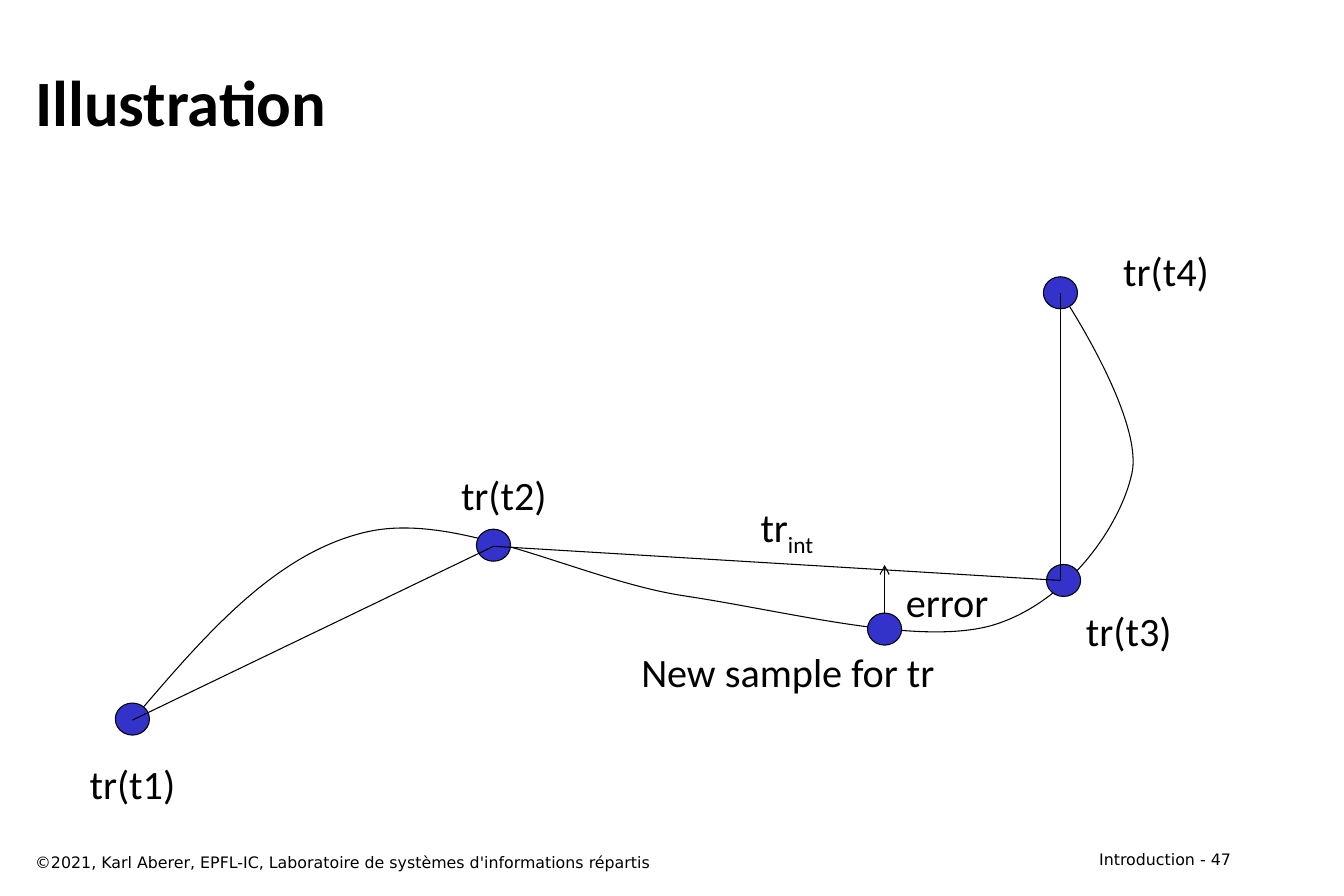
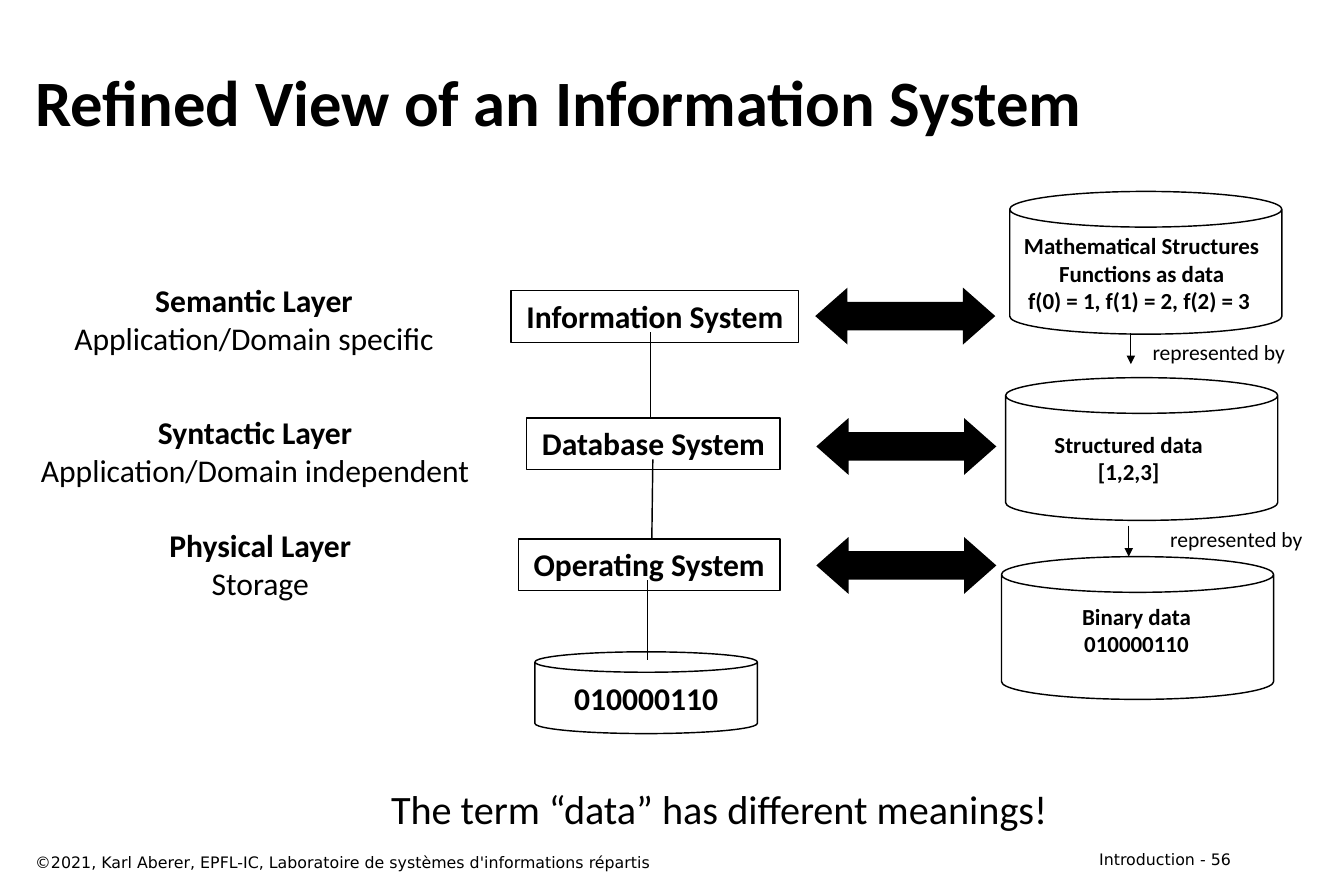
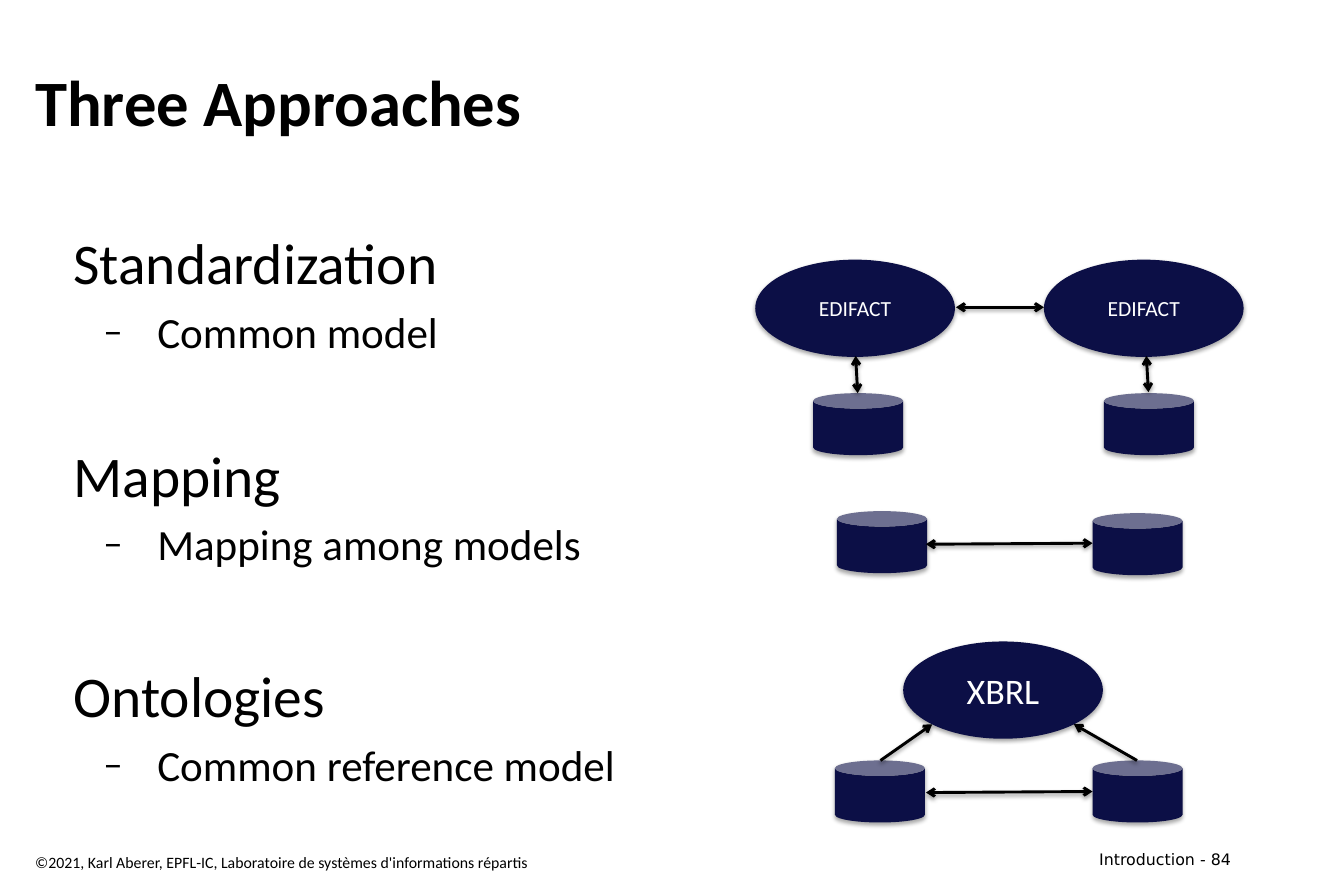
from lxml.etree import SubElement
from pptx import Presentation
from pptx.dml.color import RGBColor
from pptx.enum.shapes import MSO_CONNECTOR, MSO_SHAPE as SHAPE
from pptx.enum.text import MSO_ANCHOR as ANCHOR, MSO_AUTO_SIZE as AUTO_SIZE, PP_ALIGN as ALIGN
from pptx.oxml.ns import qn
from pptx.util import Inches, Pt

BLACK, WHITE, BLUE, NAVY = "000000", "FFFFFF", "3333CC", "0C0F46"
BODY_FONT, FOOTER_FONT = "Calibri", "DejaVu Sans"
WIDE_INSETS = (0.12, 0.06)
COPYRIGHT = "©2021, Karl Aberer, EPFL-IC, Laboratoire de systèmes d'informations répartis"


def rgb(value):
    return RGBColor.from_string(value)


def write(frame, text, size=28, bold=False, color=BLACK, font=BODY_FONT,
          align=ALIGN.CENTER, before=0, bullet=None, subscript=None):
    for line in text.split("\n"):
        first = frame.paragraphs[0]
        paragraph = frame.add_paragraph() if first.runs else first
        if bullet:
            props = paragraph._p.get_or_add_pPr()
            props.set("marL", str(Inches(0.81)))
            props.set("indent", str(Inches(-0.52)))
            SubElement(props, qn("a:buSzPct"), val="90000")
            SubElement(props, qn("a:buFont"), typeface=font)
            SubElement(props, qn("a:buChar"), char=bullet)
        paragraph.alignment = align
        if before:
            paragraph.space_before = Pt(before)
        for part in filter(None, (line, subscript)):
            run = paragraph.add_run()
            run.text = part
            run.font.size = Pt(size)
            run.font.bold = bold
            run.font.name = font
            run.font.color.rgb = rgb(color)
        if subscript:
            run.font._element.set("baseline", "-25000")


def set_frame(frame, insets=(0.1, 0.05), anchor=ANCHOR.TOP, wrap=False):
    frame.margin_left = frame.margin_right = Inches(insets[0])
    frame.margin_top = frame.margin_bottom = Inches(insets[1])
    frame.vertical_anchor = anchor
    frame.word_wrap = wrap
    frame.auto_size = AUTO_SIZE.NONE if wrap else AUTO_SIZE.SHAPE_TO_FIT_TEXT


def text_area(slide, left, top, width, height, **frame_format):
    box = slide.shapes.add_textbox(*map(Inches, (left, top, width, height)))
    set_frame(box.text_frame, **frame_format)
    return box.text_frame


def label(slide, text, box, **text_format):
    write(text_area(slide, *box), text, **text_format)


def cast_shadow(effects, opacity, distance):
    shadow = SubElement(effects, qn("a:outerShdw"), blurRad=str(Pt(3.1)),
                        dist=str(Pt(distance)), dir="5400000", rotWithShape="0")
    color = SubElement(shadow, qn("a:srgbClr"), val=BLACK)
    SubElement(color, qn("a:alpha"), val=str(opacity * 1000))


def paint(shape, fill=None, line=None):
    shape.shadow.inherit = False
    if fill:
        shape.fill.solid()
        shape.fill.fore_color.rgb = rgb(fill)
    else:
        shape.fill.background()
    if line:
        shape.line.color.rgb = rgb(BLACK)
        shape.line.width = Pt(line)
    else:
        shape.line.fill.background()


def figure(slide, kind, left, top, width, height, fill=None, line=None,
           shadow=False, text=None, anchor=ANCHOR.MIDDLE, wrap=True, **text_format):
    shape = slide.shapes.add_shape(kind, *map(Inches, (left, top, width, height)))
    paint(shape, fill, line)
    if shadow:
        cast_shadow(shape._element.spPr.find(qn("a:effectLst")), 35, 1.8)
    if text:
        set_frame(shape.text_frame, WIDE_INSETS, anchor, wrap)
        write(shape.text_frame, text, **text_format)
    return shape


def link(slide, start, end, width=0.75, head=None, tail=None, shadow=False):
    connector = slide.shapes.add_connector(
        MSO_CONNECTOR.STRAIGHT, *map(Inches, (*start, *end)))
    connector.line.color.rgb = rgb(BLACK)
    connector.line.width = Pt(width)
    props = connector._element.spPr
    for tag, arrow in (("a:headEnd", head), ("a:tailEnd", tail)):
        if arrow:
            SubElement(props.find(qn("a:ln")), qn(tag), type=arrow)
    effects = SubElement(props, qn("a:effectLst"))
    if shadow:
        cast_shadow(effects, 38, 1.6)


def curve(slide, start, segments):
    builder = slide.shapes.build_freeform(*map(Inches, start))
    builder.add_line_segments(
        [tuple(map(Inches, segment[-1])) for segment in segments], close=False)
    shape = builder.convert_to_shape()
    outline = next(shape._element.iter(qn("a:moveTo"))).getparent()
    for straight in outline.findall(qn("a:lnTo")):
        outline.remove(straight)
    for segment in segments:
        bend = SubElement(outline, qn("a:cubicBezTo"))
        for x, y in segment:
            SubElement(bend, qn("a:pt"), x=str(Inches(x) - shape.left),
                       y=str(Inches(y) - shape.top))
    paint(shape, line=0.75)


def start_slide(deck, title, number, footer_font=FOOTER_FONT):
    slide = deck.slides.add_slide(deck.slide_layouts[6])
    page = text_area(slide, 9.31, 8.15, 2.71, 0.29, insets=WIDE_INSETS, wrap=True)
    write(page, f"Introduction - {number}", size=11, font=FOOTER_FONT, align=ALIGN.RIGHT)
    heading = text_area(slide, 0.22, 0.39, 11.8, 1.16, insets=WIDE_INSETS,
                        anchor=ANCHOR.MIDDLE, wrap=True)
    write(heading, title, size=45, bold=True, align=ALIGN.LEFT)
    footer = text_area(slide, 0.22, 8.18, 8.34, 0.29, insets=WIDE_INSETS, wrap=True)
    write(footer, COPYRIGHT, size=11, font=footer_font, align=ALIGN.LEFT)
    return slide


def sample_point(slide, center):
    width, height = 0.33, 0.31
    figure(slide, SHAPE.OVAL, center[0] - width / 2, center[1] - height / 2,
           width, height, fill=BLUE, line=0.75)


def build_illustration(deck):
    slide = start_slide(deck, "Illustration", 47)
    curve(slide, (1.28, 6.96), [
        ((1.97, 6.15), (2.66, 5.34), (3.55, 5.14)),
        ((4.44, 4.94), (5.62, 5.61), (6.62, 5.76)),
        ((7.62, 5.91), (8.85, 6.24), (9.57, 6.05)),
        ((10.29, 5.85), (10.82, 5.11), (10.94, 4.58)),
        ((11.06, 4.05), (10.28, 2.87), (10.28, 2.87)),
        ((10.17, 2.58), (10.21, 2.71), (10.26, 2.85)),
    ])
    for center in ((1.28, 6.95), (4.77, 5.27), (10.28, 5.61), (10.25, 2.83)):
        sample_point(slide, center)
    label_places = ((0.76, 7.29), (4.35, 4.5), (10.39, 5.81), (10.75, 2.33))
    for index, place in enumerate(label_places, 1):
        label(slide, f"tr(t{index})", (*place, 1.04, 0.57))
    track = ((1.28, 6.96), (4.77, 5.28), (10.25, 5.61), (10.25, 2.83))
    for start, end in zip(track, track[1:]):
        link(slide, start, end)
    label(slide, "tr", (7.23, 4.81, 0.75, 0.57), subscript="int")
    label(slide, "New sample for tr", (6.08, 6.21, 3.07, 0.57))
    new_sample = (8.55, 6.08)
    link(slide, (8.55, 5.46), new_sample, head="arrow", tail="arrow")
    label(slide, "error", (8.65, 5.53, 1.01, 0.57))
    sample_point(slide, new_sample)


def build_refined_view(deck):
    slide = start_slide(deck, "Refined View of an Information System", 56)
    figure(slide, SHAPE.CAN, 5.17, 6.3, 2.15, 0.79, fill=WHITE, line=1,
           text="010000110", size=22, bold=True)

    for name, left, top, width in (
            ("Information System", 4.94, 2.81, 2.78),
            ("Database System", 5.09, 4.04, 2.45),
            ("Operating System", 5.01, 5.21, 2.53)):
        figure(slide, SHAPE.RECTANGLE, left, top, width, 0.5, line=1, text=name,
               anchor=ANCHOR.TOP, wrap=False, size=22, bold=True)
    for start, end in (
            ((6.29, 3.21), (6.29, 4.03)),
            ((6.31, 4.44), (6.3, 5.21)),
            ((6.26, 5.61), (6.26, 6.38))):
        link(slide, start, end, width=1)

    for name, scope, box in (
            ("Semantic Layer", "Application/Domain specific", (0.57, 2.66, 3.77, 0.87)),
            ("Syntactic Layer", "Application/Domain independent", (0.24, 3.93, 4.45, 0.87)),
            ("Physical Layer", "Storage", (1.49, 5.02, 2.05, 0.87))):
        layer = text_area(slide, *box, insets=WIDE_INSETS)
        write(layer, name, size=22, bold=True)
        write(layer, scope, size=22)

    for left, top in ((7.88, 2.78), (7.89, 4.04), (7.89, 5.19)):
        exchange = figure(slide, SHAPE.LEFT_RIGHT_ARROW, left, top, 1.74, 0.55, fill=BLACK)
        exchange.adjustments[1] = 0.567

    for text, box in (
            ("Mathematical Structures\nFunctions as data\nf(0) = 1, f(1) = 2, f(2) = 3 ",
             (9.78, 2.19, 2.51, 0.91)),
            ("Structured data\n[1,2,3]", (10.08, 4.11, 1.66, 0.64)),
            ("Binary data\n010000110", (10.35, 5.77, 1.27, 0.64))):
        label(slide, text, box, size=16, bold=True)

    for x, y, text_left, text_top in ((10.93, 3.22, 11.03, 3.23), (10.91, 5.08, 11.2, 5.03)):
        link(slide, (x, y), (x, y + 0.3), tail="triangle")
        label(slide, "represented by", (text_left, text_top, 1.5, 0.35), size=15)

    label(slide, "The term “data” has different meanings!", (3.64, 7.53, 6.62, 0.57))
    for left, top in ((9.76, 1.85), (9.72, 3.65), (9.68, 5.38)):
        figure(slide, SHAPE.CAN, left, top, 2.63, 1.38, line=1)


def build_approaches(deck):
    slide = start_slide(deck, "Three Approaches", 84, footer_font=BODY_FONT)
    approaches = text_area(slide, 0.59, 2.13, 11.69, 5.72, insets=WIDE_INSETS, wrap=True)
    for name, means, name_gap, means_gap in (
            ("Standardization", "Common model", 0, 7),
            ("Mapping", "Mapping among models", 57.5, 6),
            ("Ontologies", "Common reference model", 63.5, 6)):
        write(approaches, name, size=40, align=ALIGN.LEFT, before=name_gap)
        write(approaches, means, size=30, align=ALIGN.LEFT, before=means_gap, bullet="–")

    for name, left, top, size in (
            ("EDIFACT", 7.3, 2.51, 15), ("EDIFACT", 10.09, 2.51, 15), ("XBRL", 8.73, 6.2, 25)):
        figure(slide, SHAPE.OVAL, left, top, 1.93, 0.94, fill=NAVY, shadow=True,
               text=name, size=size, color=WHITE)
    for left, top in ((7.86, 3.8), (10.67, 3.8), (8.07, 7.35),
                      (10.56, 7.35), (8.09, 4.94), (10.56, 4.96)):
        figure(slide, SHAPE.CAN, left, top, 0.87, 0.6, fill=NAVY, shadow=True)

    for start, end, head in (
            ((9.24, 2.97), (10.09, 2.97), "arrow"),
            ((8.95, 7.66), (10.56, 7.65), "arrow"),
            ((8.95, 5.26), (10.56, 5.25), "arrow"),
            ((8.27, 3.44), (8.29, 3.8), "arrow"),
            ((11.08, 3.44), (11.1, 3.79), "arrow"),
            ((8.51, 7.35), (9.01, 7), None),
            ((10.99, 7.35), (10.38, 7), None)):
        link(slide, start, end, width=2, head=head, tail="arrow", shadow=True)


def main():
    deck = Presentation()
    deck.slide_width, deck.slide_height = Inches(12.99), Inches(8.66)
    build_illustration(deck)
    build_refined_view(deck)
    build_approaches(deck)
    deck.save("out.pptx")


if __name__ == "__main__":
    main()
